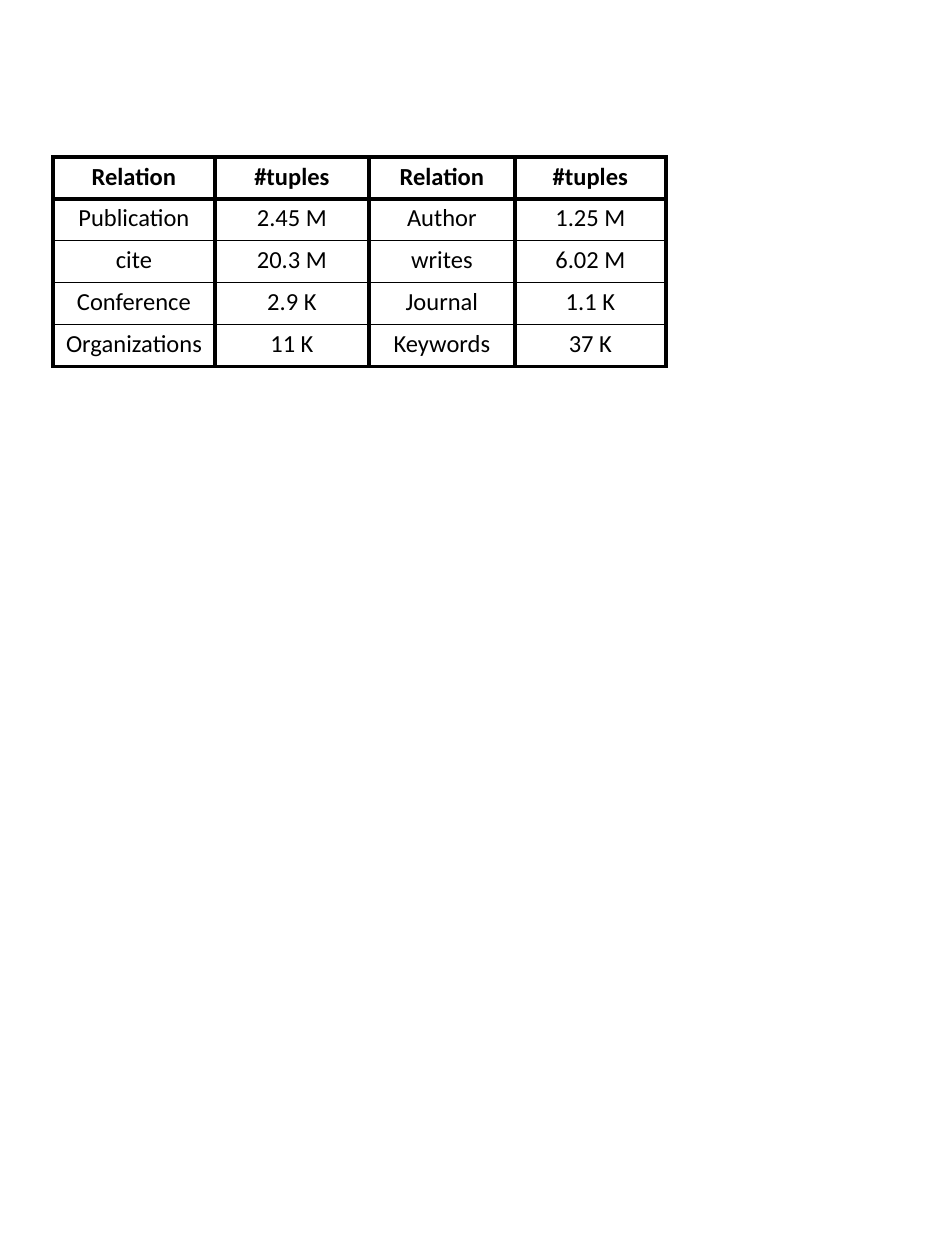
from lxml.etree import SubElement
from pptx import Presentation
from pptx.dml.color import RGBColor
from pptx.enum.text import MSO_ANCHOR as Anchor, PP_ALIGN as Align
from pptx.oxml.ns import qn
from pptx.util import Pt

# Content
HEADINGS = ("Relation", "#tuples", "Relation", "#tuples")
COUNTS = [
    ("Publication", "2.45 M", "Author", "1.25 M"),
    ("cite", "20.3 M", "writes", "6.02 M"),
    ("Conference", "2.9 K", "Journal", "1.1 K"),
    ("Organizations", "11 K", "Keywords", "37 K"),
]
COLORS = {"ink": "000000", "paper": "FFFFFF"}

# Layout in pixels, rules in points
PX = 914400 // 126
LEFT, TOP, HEIGHT = 53, 157, 202
COLUMN_WIDTHS = (162, 154, 146, 151)
INSET = 9
THICK, THIN = 2.25, 1


def write(cell, text, size=14, bold=False, font="Calibri", color="ink"):
    paragraph = cell.text_frame.paragraphs[0]
    paragraph.alignment = Align.CENTER
    paragraph.line_spacing = 0.8
    run = paragraph.add_run()
    run.text = text
    run.font.name, run.font.size, run.font.bold = font, Pt(size), bold
    run.font.color.rgb = RGBColor.from_string(COLORS[color])


def rule_cell(cell, **widths):
    properties = cell._tc.get_or_add_tcPr()
    for side in "LRTB":
        line = SubElement(properties, qn(f"a:ln{side}"), w=str(Pt(widths[side])))
        fill = SubElement(line, qn("a:solidFill"))
        SubElement(fill, qn("a:srgbClr"), val=COLORS["ink"])


deck = Presentation()
deck.slide_width, deck.slide_height = 945 * PX, 1260 * PX
slide = deck.slides.add_slide(deck.slide_layouts[6])

# Table of relation sizes
rows = [HEADINGS, *COUNTS]
relations = slide.shapes.add_table(
    len(rows), len(HEADINGS), LEFT * PX, TOP * PX,
    sum(COLUMN_WIDTHS) * PX, HEIGHT * PX).table
relations.first_row = relations.horz_banding = False
for column, width in zip(relations.columns, COLUMN_WIDTHS):
    column.width = width * PX

# Thick rules around the heading, the outside and between columns
for r, row in enumerate(rows):
    above = THICK if r < 2 else THIN
    below = THICK if r in (0, len(rows) - 1) else THIN
    for c, text in enumerate(row):
        cell = relations.cell(r, c)
        write(cell, text, bold=r == 0)
        cell.vertical_anchor = Anchor.MIDDLE
        cell.margin_left = cell.margin_right = INSET * PX
        cell.margin_top = cell.margin_bottom = INSET * PX
        rule_cell(cell, L=THICK, R=THICK, T=above, B=below)
        cell.fill.solid()
        cell.fill.fore_color.rgb = RGBColor.from_string(COLORS["paper"])

deck.save("out.pptx")
